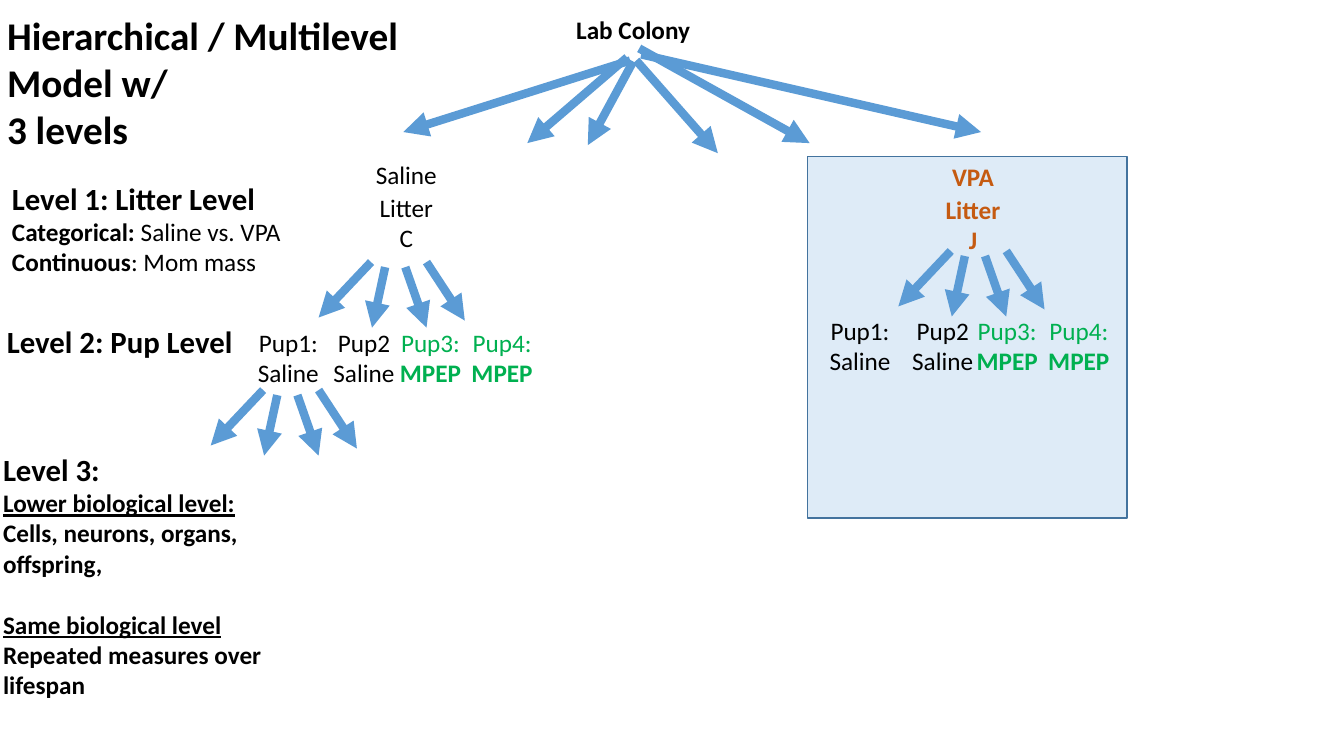
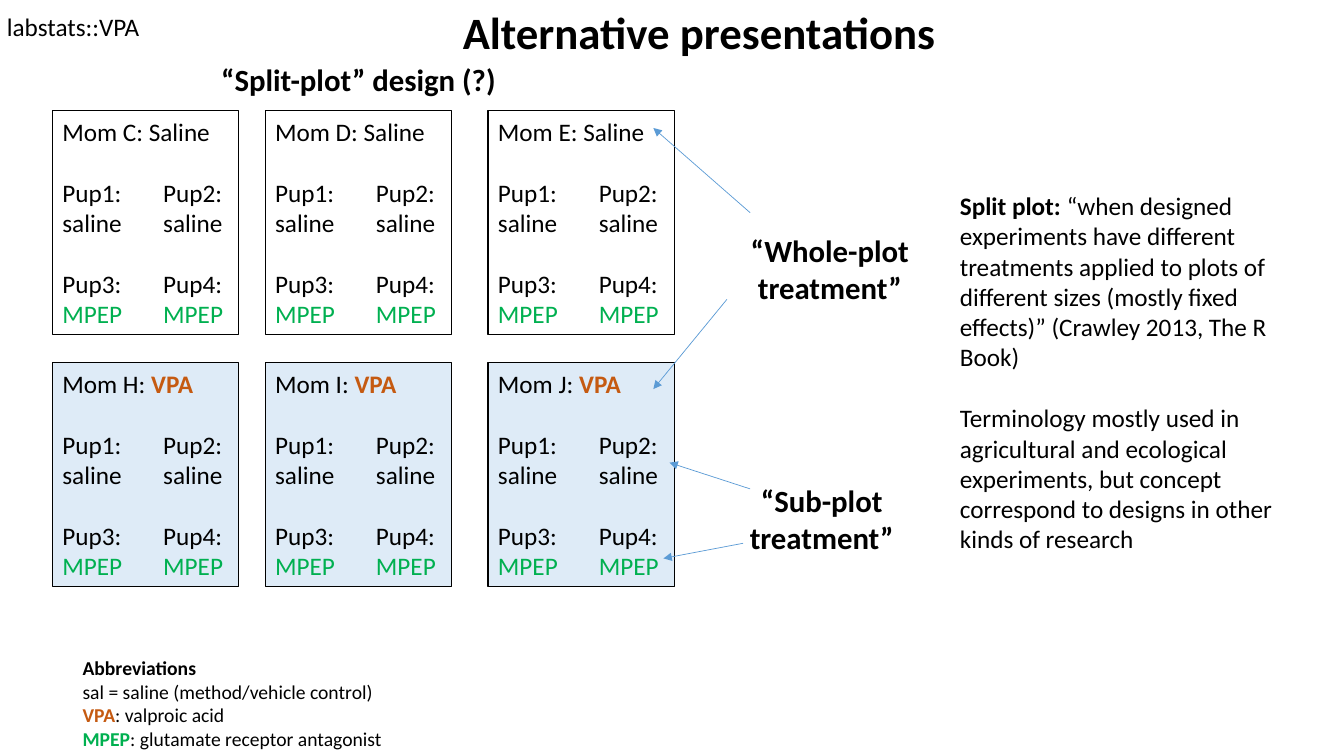
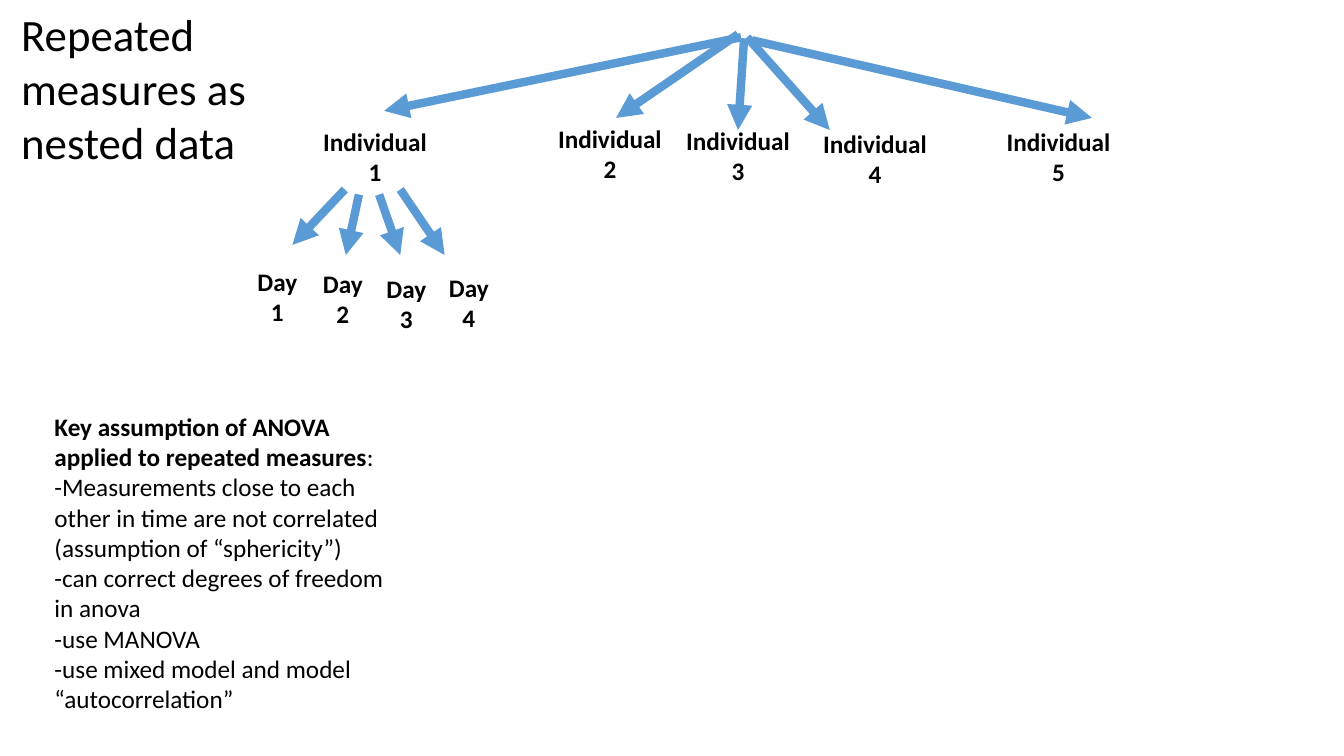
import pptx
import pptx.util
import pptx.dml.color
import pptx.enum.shapes
import pptx.enum.text
import pptx.oxml.ns
import lxml.etree

Inches = pptx.util.Inches
Pt = pptx.util.Pt
RGBColor = pptx.dml.color.RGBColor
ALIGN = pptx.enum.text.PP_ALIGN
SHAPES = pptx.enum.shapes.MSO_SHAPE

# Colours
BLACK = RGBColor(0x00, 0x00, 0x00)
ARROW_BLUE = RGBColor(0x5B, 0x9B, 0xD5)
VPA_FILL = RGBColor(0xDE, 0xEB, 0xF7)
VPA_EDGE = RGBColor(0x43, 0x73, 0x9E)
VPA_ORANGE = RGBColor(0xC5, 0x5A, 0x11)
MPEP_GREEN = RGBColor(0x00, 0xB0, 0x50)

# Run formats
BASE = {"name": "Calibri", "size": Pt(18), "bold": False, "underline": False, "color": BLACK}
BOLD = {"bold": True}
UNDERLINED = {"bold": True, "underline": True}
HEADING = {"bold": True, "size": Pt(22)}
GREEN = {"color": MPEP_GREEN}
GREEN_BOLD = {"color": MPEP_GREEN, "bold": True}
ORANGE_BOLD = {"color": VPA_ORANGE, "bold": True}
BLANK_LINE = 22  # points, one line of 18 point text


def para(*runs, before=0):
    """A paragraph: runs of (text, format) and the points of space above."""
    return runs, before


def line(text, style=None, before=0):
    return para((text, style or {}), before=before)


class Deck:
    """Shared style, and the slide being filled."""

    def __init__(self):
        self.prs = pptx.Presentation()
        self.prs.slide_width = Inches(13.33)
        self.prs.slide_height = Inches(7.5)
        self.slide = None

    def add_slide(self):
        self.slide = self.prs.slides.add_slide(self.prs.slide_layouts[1])

    def set_text(self, frame, paragraphs, align=ALIGN.LEFT, tab=None):
        settings = {"word_wrap": True, "auto_size": pptx.enum.text.MSO_AUTO_SIZE.NONE,
                    "vertical_anchor": pptx.enum.text.MSO_ANCHOR.TOP}
        for name, value in settings.items():
            setattr(frame, name, value)
        for index, (runs, before) in enumerate(paragraphs):
            paragraph = frame.add_paragraph() if index else frame.paragraphs[0]
            spacing = {"alignment": align, "line_spacing": 1.0,
                       "space_before": Pt(before), "space_after": Pt(0)}
            for name, value in spacing.items():
                setattr(paragraph, name, value)
            # Flush left, without bullets
            properties = paragraph._p.get_or_add_pPr()
            properties.set("marL", "0")
            properties.set("indent", "0")
            lxml.etree.SubElement(properties, pptx.oxml.ns.qn("a:buNone"))
            if tab:
                stops = lxml.etree.SubElement(properties, pptx.oxml.ns.qn("a:tabLst"))
                lxml.etree.SubElement(stops, pptx.oxml.ns.qn("a:tab"),
                                      pos=str(Inches(tab)), algn="l")
            for text, style in runs:
                run = paragraph.add_run()
                run.text = text
                for name, value in {**BASE, **style}.items():
                    if name == "color":
                        run.font.color.rgb = value
                    else:
                        setattr(run.font, name, value)

    def fill_placeholder(self, placeholder, box, paragraphs, align):
        for name, value in zip(("left", "top", "width", "height"), box):
            setattr(placeholder, name, Inches(value))
        self.set_text(placeholder.text_frame, paragraphs, align)

    def title(self, box, paragraphs, align=ALIGN.LEFT):
        self.fill_placeholder(self.slide.shapes.title, box, paragraphs, align)

    def body(self, box, paragraphs):
        self.fill_placeholder(self.slide.placeholders[1], box, paragraphs, ALIGN.LEFT)

    def text(self, box, paragraphs, align=ALIGN.LEFT):
        textbox = self.slide.shapes.add_textbox(*map(Inches, box))
        self.set_text(textbox.text_frame, paragraphs, align)

    def label(self, center, top, paragraphs, width=1.0):
        height = 0.1 + 0.3 * len(paragraphs)
        self.text((center - width / 2, top, width, height), paragraphs, ALIGN.CENTER)

    def panel(self, box, fill, edge, weight):
        panel = self.slide.shapes.add_shape(SHAPES.RECTANGLE, *map(Inches, box))
        panel.shadow.inherit = False
        if fill is None:
            panel.fill.background()
        else:
            panel.fill.solid()
            panel.fill.fore_color.rgb = fill
        panel.line.color.rgb = edge
        panel.line.width = Pt(weight)
        return panel

    def arrow(self, start, end, weight=6):
        arrow = self.slide.shapes.add_connector(
            pptx.enum.shapes.MSO_CONNECTOR.STRAIGHT, *map(Inches, (*start, *end)))
        arrow.line.color.rgb = ARROW_BLUE
        arrow.line.width = Pt(weight)
        lxml.etree.SubElement(arrow.line._get_or_add_ln(),
                              pptx.oxml.ns.qn("a:tailEnd"), type="triangle")
        lxml.etree.SubElement(arrow._element.spPr, pptx.oxml.ns.qn("a:effectLst"))

    def fan(self, x, y, last_tip=(0.93, 0.58)):
        """Four arrows from one parent down to its four children."""
        tails = ((0, 0), (0.14, 0.05), (0.34, 0.05), (0.55, 0))
        tips = ((-0.52, 0.55), (0.01, 0.65), (0.55, 0.65), last_tip)
        for (tail_x, tail_y), (tip_x, tip_y) in zip(tails, tips):
            self.arrow((x + tail_x, y + tail_y), (x + tip_x, y + tip_y))

    def litter(self, treatment, letter, style, center, top, fan_start, pups_top, pup_centers):
        self.label(center, top, [line(treatment, style)])
        self.label(center, top + 0.33, [line("Litter", style), line(letter, style)])
        self.fan(*fan_start)
        pups = (("Pup1:", "Saline", {}, {}), ("Pup2", "Saline", {}, {}),
                ("Pup3:", "MPEP", GREEN, GREEN_BOLD), ("Pup4:", "MPEP", GREEN, GREEN_BOLD))
        for pup_center, (pup, drug, pup_style, drug_style) in zip(pup_centers, pups):
            self.label(pup_center, pups_top, [line(pup, pup_style), line(drug, drug_style)])

    def mom_plot(self, left, top, mom, treatment, style, fill):
        plot = self.panel((left, top, 1.85, 2.22), fill, BLACK, 0.75)
        plot.text_frame.margin_right = 0
        self.set_text(plot.text_frame, [
            para((f"Mom {mom}: ", {}), (treatment, style)),
            line("Pup1:\tPup2:", before=BLANK_LINE),
            line("saline\tsaline"),
            line("Pup3:\tPup4:", before=BLANK_LINE),
            line("MPEP\tMPEP", GREEN),
        ], tab=1.04)


def multilevel_slide(deck):
    deck.add_slide()
    big = {"bold": True, "size": Pt(28)}
    deck.title((-0.03, 0.06, 4.46, 1.51),
               [line("Hierarchical / Multilevel Model w/", big), line("3 levels", big)])

    # Colony and its litters
    deck.label(6.28, 0.09, [line("Lab Colony", BOLD)], width=2.1)
    for start, end in (((6.25, 0.6), (4, 1.31)), ((6.22, 0.57), (5.23, 1.42)),
                       ((6.28, 0.61), (5.83, 1.44)), ((6.31, 0.6), (7.12, 1.52)),
                       ((6.34, 0.48), (8.03, 1.42)), ((6.36, 0.54), (9.73, 1.31))):
        deck.arrow(start, end)
    deck.litter("Saline", "C", {}, 4.03, 1.53, (3.68, 2.6), 3.2, (2.86, 3.61, 4.27, 4.98))
    deck.panel((8.01, 1.55, 3.17, 3.59), VPA_FILL, VPA_EDGE, 1)
    deck.litter("VPA", "J", ORANGE_BOLD, 9.65, 1.55, (9.43, 2.49), 3.08,
                (8.53, 9.35, 9.99, 10.7))
    deck.fan(2.61, 3.87)

    # Levels
    deck.text((0.02, 1.73, 3.41, 1.08), [
        line("Level 1: Litter Level", HEADING),
        para(("Categorical: ", BOLD), ("Saline vs. VPA", {})),
        para(("Continuous", BOLD), (": Mom mass", {})),
    ])
    deck.text((-0.03, 3.15, 2.52, 0.47), [line("Level 2: Pup Level", HEADING)])
    deck.body((-0.07, 4.42, 3, 2.59), [
        line("Level 3:", HEADING),
        line("Lower biological level:", UNDERLINED),
        line("Cells, neurons, organs, offspring,", BOLD),
        line("Same biological level", UNDERLINED, before=BLANK_LINE),
        line("Repeated measures over lifespan", BOLD),
    ])


def split_plot_slide(deck):
    deck.add_slide()
    deck.title((4.24, 0, 5.39, 0.64),
               [line("Alternative presentations", {"bold": True, "size": Pt(32)})], ALIGN.CENTER)
    deck.text((-0.03, 0.06, 1.7, 0.4), [line("labstats::VPA")])
    deck.text((0.86, 0.55, 5.39, 0.47), [line("“Split-plot” design (?)", HEADING)], ALIGN.CENTER)

    # One plot per mom, one row per treatment
    for top, moms, treatment, style, fill in ((1.1, "CDE", "Saline", {}, None),
                                              (3.6, "HIJ", "VPA", ORANGE_BOLD, VPA_FILL)):
        for left, mom in zip((0.52, 2.63, 4.84), moms):
            deck.mom_plot(left, top, mom, treatment, style, fill)

    # Treatment callouts
    for start, end in (((7.44, 2.11), (6.48, 1.27)), ((7.21, 2.97), (6.48, 3.86)),
                       ((7.44, 4.85), (6.64, 4.59)), ((7.37, 5.39), (6.58, 5.54))):
        deck.arrow(start, end, weight=0.5)
    deck.text((7.24, 2.25, 1.98, 0.84), [line("“Whole-plot treatment”", HEADING)], ALIGN.CENTER)
    deck.text((7.28, 4.73, 1.74, 0.84), [line("“Sub-plot treatment”", HEADING)], ALIGN.CENTER)

    # Definition and abbreviations
    deck.body((9.42, 1.84, 3.82, 4.04), [
        para(("Split plot: ", BOLD),
             ("“when designed experiments have different treatments applied to plots of "
              "different sizes (mostly fixed effects)” (Crawley 2013, The R Book)", {})),
        line("Terminology mostly used in agricultural and ecological experiments, but "
             "concept correspond to designs in other kinds of research", before=BLANK_LINE),
    ])
    small = {"size": Pt(14)}
    deck.text((0.72, 6.46, 4.29, 1.04), [
        line("Abbreviations", {**small, **BOLD}),
        line("sal = saline (method/vehicle control)", small),
        para(("VPA", {**small, **ORANGE_BOLD}), (": valproic acid", small)),
        para(("MPEP", {**small, **GREEN_BOLD}), (": glutamate receptor antagonist", small)),
    ])


def repeated_measures_slide(deck):
    deck.add_slide()
    deck.title((0.11, 0.02, 3.68, 1.72),
               [line("Repeated measures as nested data", {"size": Pt(32)})])

    # Individuals
    for start, end in (((7.35, 0.37), (3.81, 1.1)), ((7.32, 0.34), (6.11, 1.17)),
                       ((7.38, 0.38), (7.32, 1.29)), ((7.41, 0.37), (8.23, 1.29)),
                       ((7.46, 0.4), (10.83, 1.17))):
        deck.arrow(start, end)
    individuals = ((3.72, 1.2), (6.05, 1.17), (7.32, 1.19), (8.68, 1.22), (10.5, 1.2))
    for number, (center, top) in enumerate(individuals, 1):
        deck.label(center, top, [line(f"Individual {number}", BOLD)], width=1.3)

    # Days within the first individual
    deck.fan(3.42, 1.88, last_tip=(0.99, 0.65))
    days = ((2.75, 2.59), (3.4, 2.61), (4.03, 2.66), (4.65, 2.65))
    for number, (center, top) in enumerate(days, 1):
        deck.label(center, top, [line(f"Day {number}", BOLD)], width=0.65)

    deck.body((0.44, 4.03, 3.52, 3.13), [
        para(("Key assumption of ANOVA applied to repeated measures", BOLD), (":", {})),
        line("-Measurements close to each other in time are not correlated"),
        line("(assumption of “sphericity”)"),
        line("-can correct degrees of freedom in anova"),
        line("-use MANOVA"),
        line("-use mixed model and model “autocorrelation”"),
    ])


def main():
    deck = Deck()
    multilevel_slide(deck)
    split_plot_slide(deck)
    repeated_measures_slide(deck)
    deck.prs.save("out.pptx")


if __name__ == "__main__":
    main()
